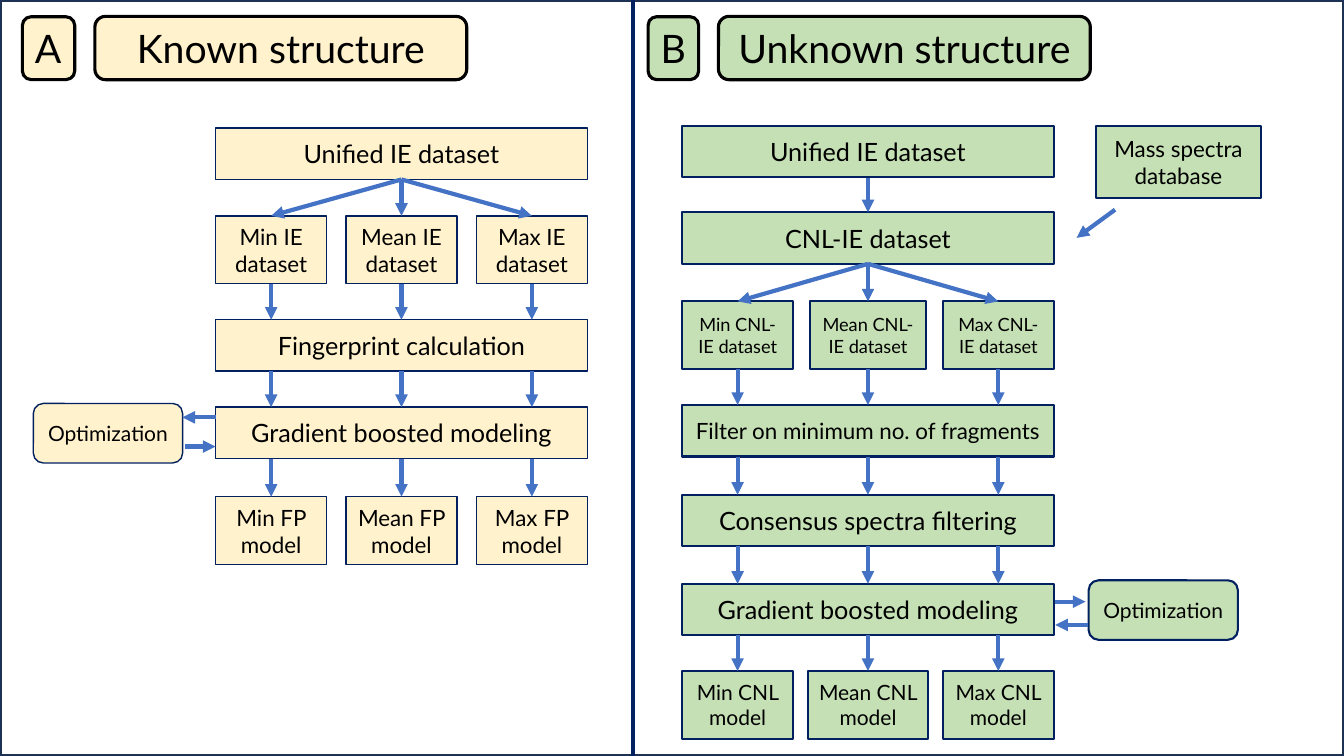
from lxml import etree
from pptx import Presentation
from pptx import util as u
from pptx.dml.color import RGBColor
from pptx.enum import shapes, text
from pptx.oxml import ns

COLOURS = {"page": "FFFFFF", "frame": "1E3256", "navy": "002060", "ink": "000000",
           "arrow": "4472C4", "known": "FFF2CC", "unknown": "C5E0B4"}
BAR_WIDTH, BAR_HEIGHT = 265.6, 36.8
SMALL_WIDTH, SMALL_HEIGHT = 79.4, 48.4
BRANCH_GAP = 93.1

KNOWN_STEPS = [
    (91.4, 18, ["Unified IE dataset"], SMALL_WIDTH, None),
    (154.2, 16, ["Min IE dataset", "Mean IE dataset", "Max IE dataset"], SMALL_WIDTH, "fan"),
    (228.4, 18, ["Fingerprint calculation"], SMALL_WIDTH, "three"),
    (290.8, 18, ["Gradient boosted modeling"], SMALL_WIDTH, "three"),
    (354.8, 16, ["Min FP model", "Mean FP model", "Max FP model"], SMALL_WIDTH, "three"),
]
UNKNOWN_STEPS = [
    (90, 18, ["Unified IE dataset"], SMALL_WIDTH, None),
    (151.7, 18, ["CNL-IE dataset"], SMALL_WIDTH, "one"),
    (215.3, 13, ["Min CNL-IE dataset", "Mean CNL-IE dataset", "Max CNL-IE dataset"], 83.4, "fan"),
    (289.3, 16, ["Filter on minimum no. of fragments"], SMALL_WIDTH, "three"),
    (353.4, 18, ["Consensus spectra filtering"], SMALL_WIDTH, "three"),
    (417, 18, ["Gradient boosted modeling"], SMALL_WIDTH, "three"),
    (479.3, 15, ["Min CNL model", "Mean CNL model", "Max CNL model"], 85.8, "three"),
]


class Workflow:
    """Draws the workflow panels on one slide in a shared style."""

    def __init__(self, slide, font="Lato"):
        self.slide = slide
        self.font = font

    def colour(self, name):
        return RGBColor.from_string(COLOURS[name])

    def box(self, left, top, width, height, fill, line, weight, rounded=False):
        kind = shapes.MSO_SHAPE.ROUNDED_RECTANGLE if rounded else shapes.MSO_SHAPE.RECTANGLE
        area = self.slide.shapes.add_shape(kind, u.Pt(left), u.Pt(top), u.Pt(width), u.Pt(height))
        area.shadow.inherit = False
        area.fill.solid()
        area.fill.fore_color.rgb = self.colour(fill)
        area.line.color.rgb = self.colour(line)
        area.line.width = u.Pt(weight)
        return area

    def label(self, area, words, size, align=text.PP_ALIGN.CENTER):
        frame = area.text_frame
        frame.word_wrap = True
        frame.vertical_anchor = text.MSO_ANCHOR.MIDDLE
        frame.text = words
        paragraph = frame.paragraphs[0]
        paragraph.alignment = align
        run = paragraph.runs[0]
        run.font.name = self.font
        run.font.size = u.Pt(size)
        run.font.color.rgb = self.colour("ink")

    def step(self, words, left, top, width, height, size, fill, weight, rounded=False):
        area = self.box(left, top, width, height, fill, "navy", weight, rounded)
        self.label(area, words, size)

    def heading(self, words, left, top, width, height, fill, align=text.PP_ALIGN.CENTER):
        area = self.box(left, top, width, height, fill, "ink", 2.25, rounded=True)
        self.label(area, words, 28, align)
        area.text_frame.vertical_anchor = text.MSO_ANCHOR.TOP
        area.text_frame.auto_size = text.MSO_AUTO_SIZE.SHAPE_TO_FIT_TEXT

    def line(self, x1, y1, x2, y2, colour="arrow", arrow=True):
        link = self.slide.shapes.add_connector(
            shapes.MSO_CONNECTOR.STRAIGHT, u.Pt(x1), u.Pt(y1), u.Pt(x2), u.Pt(y2))
        link.line.color.rgb = self.colour(colour)
        link.line.width = u.Pt(3)
        properties = link._element.spPr
        if arrow:
            etree.SubElement(properties.find(ns.qn("a:ln")), ns.qn("a:tailEnd"), type="triangle")
        etree.SubElement(properties, ns.qn("a:effectLst"))

    def panel(self, left, steps, fill, weight):
        middle = left + BAR_WIDTH / 2
        branches = [middle + BRANCH_GAP * place for place in (-1, 0, 1)]
        bottom = 0
        for top, size, labels, middle_width, link in steps:
            if len(labels) == 1:
                height = BAR_HEIGHT
                self.step(labels[0], left, top, BAR_WIDTH, height, size, fill, weight)
            else:
                height = SMALL_HEIGHT
                widths = (SMALL_WIDTH, middle_width, SMALL_WIDTH)
                for words, centre, width in zip(labels, branches, widths):
                    self.step(words, centre - width / 2, top, width, height, size, fill, weight)
            if link:
                for end in [middle] if link == "one" else branches:
                    start = end if link == "three" else middle
                    self.line(start, bottom, end, top)
            bottom = top + height


def main():
    deck = Presentation()
    deck.slide_width, deck.slide_height = u.Pt(960), u.Pt(540)
    flow = Workflow(deck.slides.add_slide(deck.slide_layouts[6]))

    flow.box(0, 0, 960, 540, "page", "frame", 3)
    flow.line(452.2, 0, 452.2, 540, "navy", arrow=False)

    flow.heading("A", 16, 12, 37.4, 44.9, "known", text.PP_ALIGN.LEFT)
    flow.heading("Known structure", 67.8, 11.7, BAR_WIDTH, 45.2, "known")
    flow.panel(154, KNOWN_STEPS, "known", 1)
    flow.step("Optimization", 23.8, 288.2, 106.6, 42.5, 15, "known", 1, rounded=True)
    flow.line(154, 298.1, 130.3, 298.1)
    flow.line(132.5, 319, 154, 319)

    flow.heading("B", 463, 12, 36, 44.9, "unknown", text.PP_ALIGN.LEFT)
    flow.heading("Unknown structure", 513.2, 11.7, BAR_WIDTH, 45.2, "unknown")
    flow.panel(487.2, UNKNOWN_STEPS, "unknown", 1.5)
    flow.step("Mass spectra database", 782.8, 90, 118, 51.6, 16, "unknown", 1.5)
    flow.line(796.5, 149.8, 769, 169.9)
    flow.step("Optimization", 777.6, 414.5, 106.6, 42.5, 15, "unknown", 1.5, rounded=True)
    flow.line(776.9, 446.4, 753.8, 446.4)
    flow.line(753.8, 429.8, 775.4, 429.8)

    deck.save("out.pptx")


if __name__ == "__main__":
    main()
